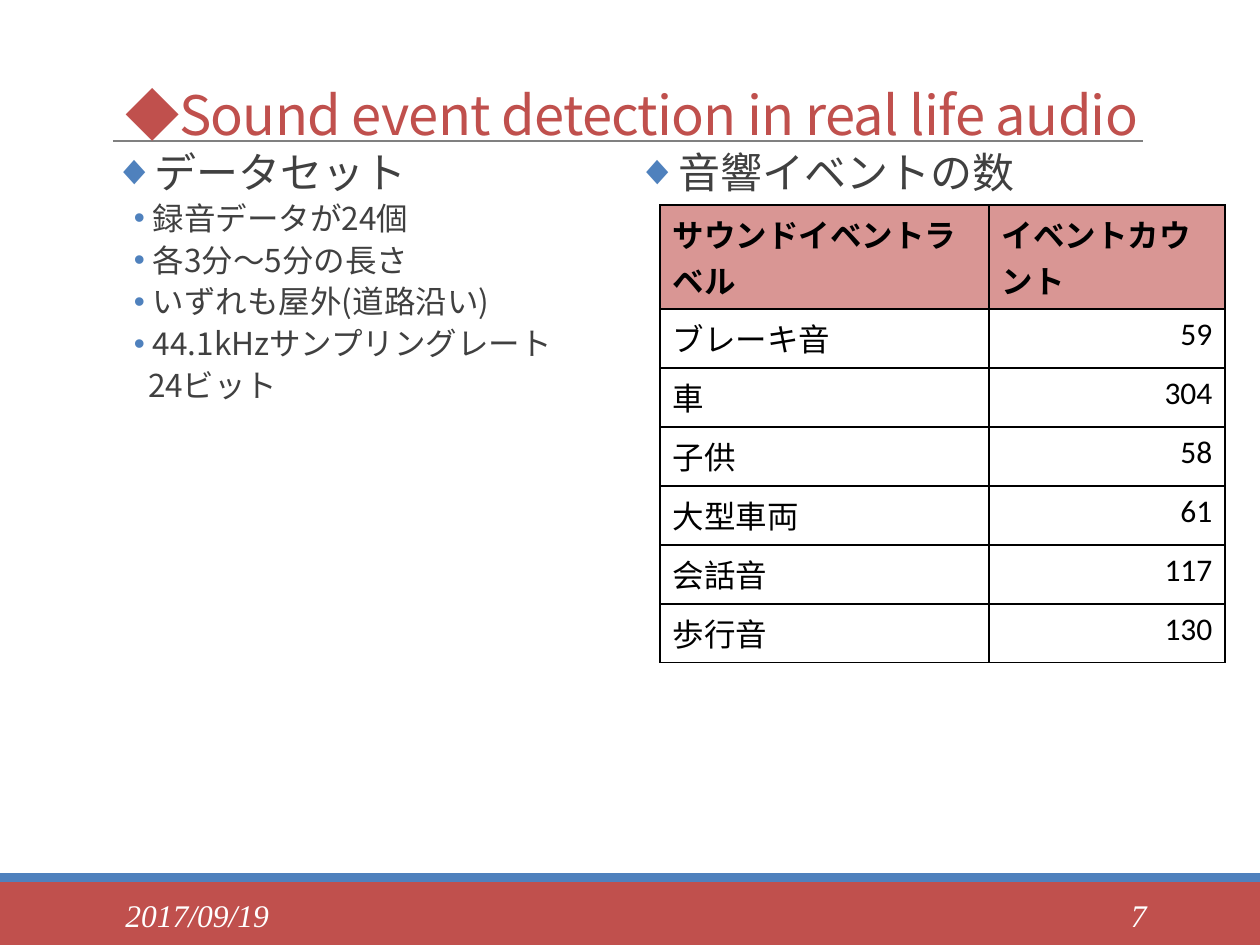
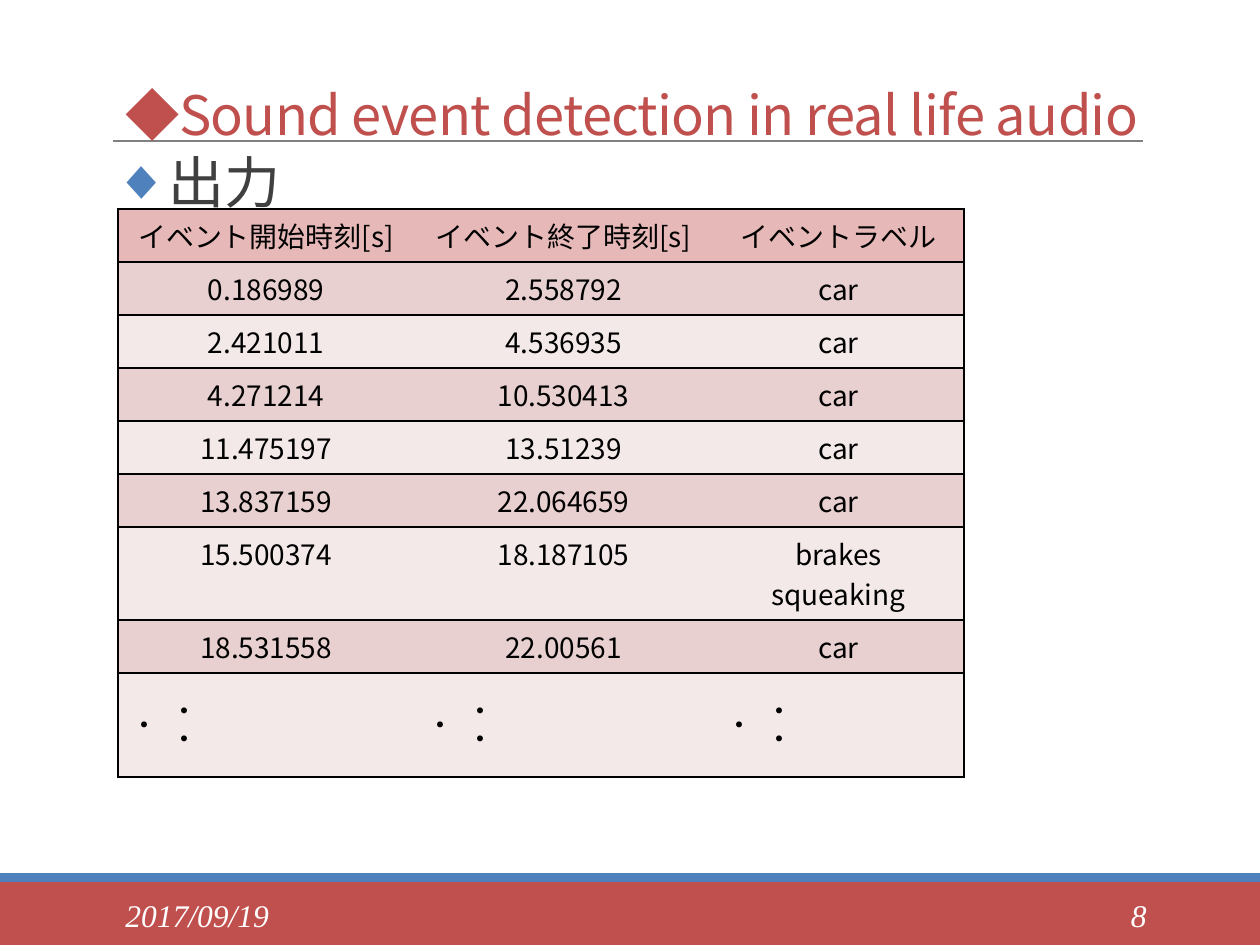
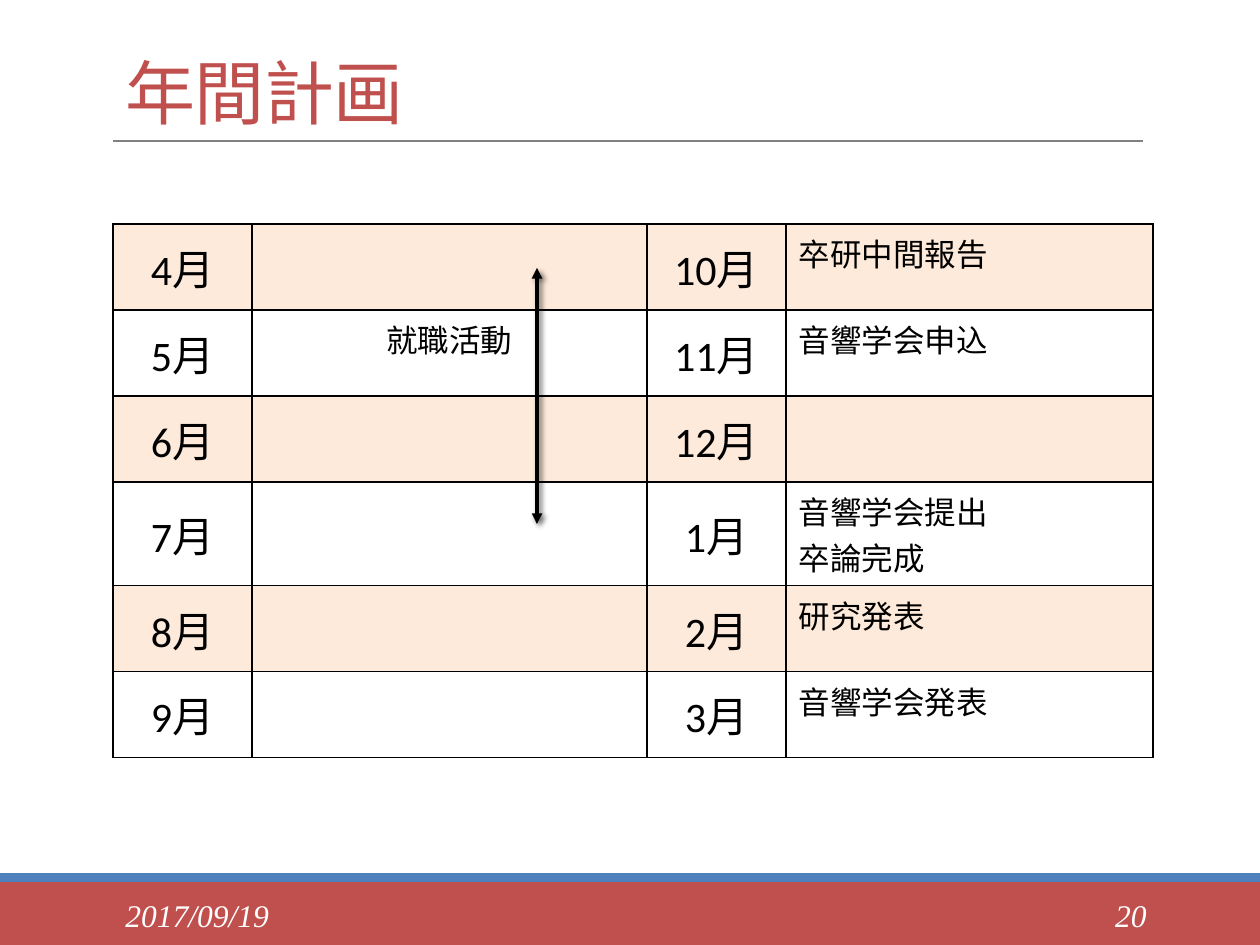
"""Build three slides on sound event detection and the yearly plan."""
from lxml import etree
from pptx import Presentation
from pptx import util as u
from pptx.dml.color import RGBColor
from pptx.enum import shapes, text
from pptx.oxml.ns import qn

RED = RGBColor(0xC0, 0x50, 0x4D)
BLUE = RGBColor(0x4F, 0x81, 0xBD)
GREY = RGBColor(0x80, 0x80, 0x80)
INK = RGBColor(0x40, 0x40, 0x40)
BLACK = RGBColor(0, 0, 0)
WHITE = RGBColor(0xFF, 0xFF, 0xFF)
ROSE = RGBColor(0xD9, 0x96, 0x94)
PINK = RGBColor(0xE6, 0xB9, 0xB8)
BAND_DARK = RGBColor(0xE8, 0xD0, 0xD0)
BAND_LIGHT = RGBColor(0xF4, 0xE9, 0xE9)
ORANGE = RGBColor(0xF7, 0x96, 0x46)
GOTHIC, LATIN, SERIF = "Noto Sans CJK JP", "Calibri", "Times New Roman"
NO_GRID = "{2D5ABB26-0587-4C30-8999-92F81FD0307C}"
ALIGN, ANCHOR = text.PP_ALIGN, text.MSO_ANCHOR
HEADING = dict(line_spacing=0.9, space_before=u.Pt(9), space_after=u.Pt(1.5))
DETAIL = dict(line_spacing=0.9, space_before=u.Pt(1.5), space_after=u.Pt(3), level=1)


def px(length):
    return u.Emu(round(length * 914400 / 126))


def assign(target, values):
    for key, value in values.items():
        setattr(target, key, value)


def child(parent, tag, **attributes):
    return etree.SubElement(parent, qn(tag), {k: str(v) for k, v in attributes.items()})


def write(paragraph, words, layout, size, color, name=GOTHIC, **font):
    assign(paragraph, layout)
    run = paragraph.add_run()
    run.text = words
    run.font.color.rgb = color
    assign(run.font, dict(size=u.Pt(size), name=name, **font))
    properties = run.font._element
    child(properties, "a:ea", typeface=GOTHIC)
    return properties


class Deck:
    """Holds the shared style and the slide being filled."""

    def __init__(self):
        self.show = Presentation()
        assign(self.show, dict(slide_width=px(1260), slide_height=px(945)))
        self.slide = None

    def page(self, layout, number, title, size, top):
        first = self.slide is None
        self.slide = self.show.slides.add_slide(self.show.slide_layouts[layout])
        if first:
            self.master_bands()
        heading = self.slide.shapes.title
        frame = self.place(heading, 113, top, 1040, 101)
        frame.vertical_anchor = ANCHOR.BOTTOM
        layout = dict(alignment=ALIGN.LEFT, line_spacing=0.85)
        write(frame.paragraphs[0], title, layout, size, RED).set("spc", "-40")
        self.footer(113, 256, "2017/09/19", ALIGN.LEFT)
        self.footer(1023, 136, number, ALIGN.RIGHT)

    def master_bands(self):
        parts = [self.band(882, 63, RED), self.band(873, 9, BLUE),
                 self.line(113, 141, 1143, 141, GREY, 1)]
        for number, part in enumerate(parts, 101):
            part.element.xpath(".//p:cNvPr")[0].set("id", str(number))
            self.show.slide_master.shapes.element.append(part.element)

    def band(self, top, height, color):
        strip = self.slide.shapes.add_shape(
            shapes.MSO_SHAPE.RECTANGLE, 0, px(top), px(1260), px(height))
        strip.shadow.inherit = False
        strip.fill.solid()
        strip.fill.fore_color.rgb = color
        strip.line.fill.background()
        return strip

    def line(self, x1, y1, x2, y2, color, width, arrows=False):
        rule = self.slide.shapes.add_connector(
            shapes.MSO_CONNECTOR.STRAIGHT, px(x1), px(y1), px(x2), px(y2))
        rule.line.color.rgb = color
        rule.line.width = u.Pt(width)
        effects = child(rule.element.spPr, "a:effectLst")
        if arrows:
            stroke = rule.line._ln
            child(stroke, "a:headEnd", type="triangle")
            child(stroke, "a:tailEnd", type="triangle")
            shadow = child(effects, "a:outerShdw", blurRad=u.Pt(3), dist=u.Pt(2), dir=45 * 60000)
            child(child(shadow, "a:srgbClr", val=BLACK), "a:alpha", val=60000)
        return rule

    def place(self, holder, left, top, width, height):
        assign(holder, dict(left=px(left), top=px(top), width=px(width), height=px(height)))
        assign(holder.text_frame, dict(word_wrap=True, auto_size=text.MSO_AUTO_SIZE.NONE))
        return holder.text_frame

    def footer(self, left, width, words, align):
        box = self.slide.shapes.add_textbox(0, 0, 0, 0)
        frame = self.place(box, left, 890, width, 50)
        frame.vertical_anchor = ANCHOR.MIDDLE
        write(frame.paragraphs[0], words, dict(alignment=align), 18, WHITE, SERIF, italic=True)

    def topics(self, index, box, heading, size, details=(), closing=None, inset=0):
        frame = self.place(self.slide.placeholders[index], *box)
        assign(frame, dict(margin_left=px(inset), margin_right=px(inset)))
        items = [(heading, HEADING, size, "◆", 9, -9)]
        items += [(detail, DETAIL, 18, "•", 40, -19) for detail in details]
        if closing:
            items.append((closing, DETAIL, 18, None, 35, 0))
        for place, (words, layout, points, mark, margin, indent) in enumerate(items):
            paragraph = frame.add_paragraph() if place else frame.paragraphs[0]
            write(paragraph, words, layout, points, INK)
            properties = paragraph._p.get_or_add_pPr()
            properties.set("marL", str(px(margin)))
            properties.set("indent", str(px(indent)))
            if mark:
                child(child(properties, "a:buClr"), "a:srgbClr", val=BLUE)
                child(properties, "a:buChar", char=mark)
            else:
                child(properties, "a:buNone")

    def table(self, left, top, widths, heights, rows, look):
        grid = self.slide.shapes.add_table(
            len(rows), len(widths), px(left), px(top), px(sum(widths)), px(sum(heights))).table
        assign(grid, dict(first_row=False, horz_banding=False))
        grid._tbl.tblPr.find(qn("a:tableStyleId")).text = NO_GRID
        for column, width in zip(grid.columns, widths):
            column.width = px(width)
        for row, height in zip(grid.rows, heights):
            row.height = px(height)
        for r, row in enumerate(rows):
            for c, words in enumerate(row):
                self.cell(grid.cell(r, c), words, **look(r, c))

    def cell(self, cell, words, size, name, align=ALIGN.LEFT, anchor=ANCHOR.TOP,
             fill=None, alpha=None, sides="LRTB", vertical=False, bold=False):
        properties = cell._tc.get_or_add_tcPr()
        for side in sides:
            edge = child(properties, "a:ln" + side, w=u.Pt(1))
            child(child(edge, "a:solidFill"), "a:srgbClr", val=BLACK)
        if fill:
            cell.fill.solid()
            cell.fill.fore_color.rgb = fill
            if alpha:
                tint = properties.find(qn("a:solidFill")).find(qn("a:srgbClr"))
                child(tint, "a:alpha", val=alpha * 1000)
        else:
            cell.fill.background()
        cell.vertical_anchor = anchor
        if vertical:
            properties.set("vert", "eaVert")
        for place, line in enumerate(words.split("\n") if words else []):
            frame = cell.text_frame
            paragraph = frame.add_paragraph() if place else frame.paragraphs[0]
            write(paragraph, line, dict(alignment=align), size, BLACK, name, bold=bold)


def count_look(row, column):
    align = ALIGN.RIGHT if row and column else ALIGN.LEFT
    return dict(size=18, name=LATIN, align=align, bold=row == 0, fill=None if row else ROSE)


def output_look(row, column):
    fill = PINK if row == 0 else BAND_DARK if row % 2 else BAND_LIGHT
    last = row == len(OUTPUT) - 1
    return dict(size=16, name=GOTHIC, align=ALIGN.CENTER, fill=fill, vertical=last,
                anchor=ANCHOR.MIDDLE if last else ANCHOR.TOP, sides=("LTB", "TB", "RTB")[column])


def plan_look(row, column):
    shade = {} if row % 2 else dict(fill=ORANGE, alpha=20)
    month = column % 2 == 0
    return dict(size=24 if month else 18, name=LATIN,
                align=ALIGN.LEFT if column == 3 else ALIGN.CENTER,
                anchor=ANCHOR.MIDDLE if month else ANCHOR.TOP, **shade)


TASK = "◆Sound event detection in real life audio"
COUNTS = [("サウンドイベントラベル", "イベントカウント"), ("ブレーキ音", "59"), ("車", "304"),
          ("子供", "58"), ("大型車両", "61"), ("会話音", "117"), ("歩行音", "130")]
OUTPUT = [("イベント開始時刻[s]", "イベント終了時刻[s]", "イベントラベル"),
          ("0.186989", "2.558792", "car"),
          ("2.421011", "4.536935", "car"),
          ("4.271214", "10.530413", "car"),
          ("11.475197", "13.51239", "car"),
          ("13.837159", "22.064659", "car"),
          ("15.500374", "18.187105", "brakes squeaking"),
          ("18.531558", "22.00561", "car"),
          ("・・・",) * 3]
PLAN = [("4月", "", "10月", "卒研中間報告"),
        ("5月", "就職活動", "11月", "音響学会申込"),
        ("6月", "", "12月", ""),
        ("7月", "", "1月", "音響学会提出\n卒論完成"),
        ("8月", "", "2月", "研究発表"),
        ("9月", "", "3月", "音響学会発表")]

deck = Deck()

deck.page(3, "7", TASK, 31, 52)
deck.topics(1, (113, 146, 510, 554), "データセット", 24,
            ["録音データが24個", "各3分～5分の長さ", "いずれも屋外(道路沿い)",
             "44.1kHzサンプリングレート"], "24ビット")
deck.topics(2, (624, 146, 510, 554), "音響イベントの数", 24, inset=13)
deck.table(660, 205, [329, 236], [59] * 7, COUNTS, count_look)

deck.page(1, "8", TASK, 31, 52)
deck.topics(1, (113, 149, 1040, 144), "出力", 32)
deck.table(118, 209, [296, 299, 251], [52] * 8 + [104], OUTPUT, output_look)

deck.page(5, "20", "年間計画", 40, 39)
deck.table(113, 224, [139, 395, 139, 367], [86] * 6, PLAN, plan_look)
deck.line(537, 268, 537, 524, BLACK, 2, arrows=True)

deck.show.save("out.pptx")
